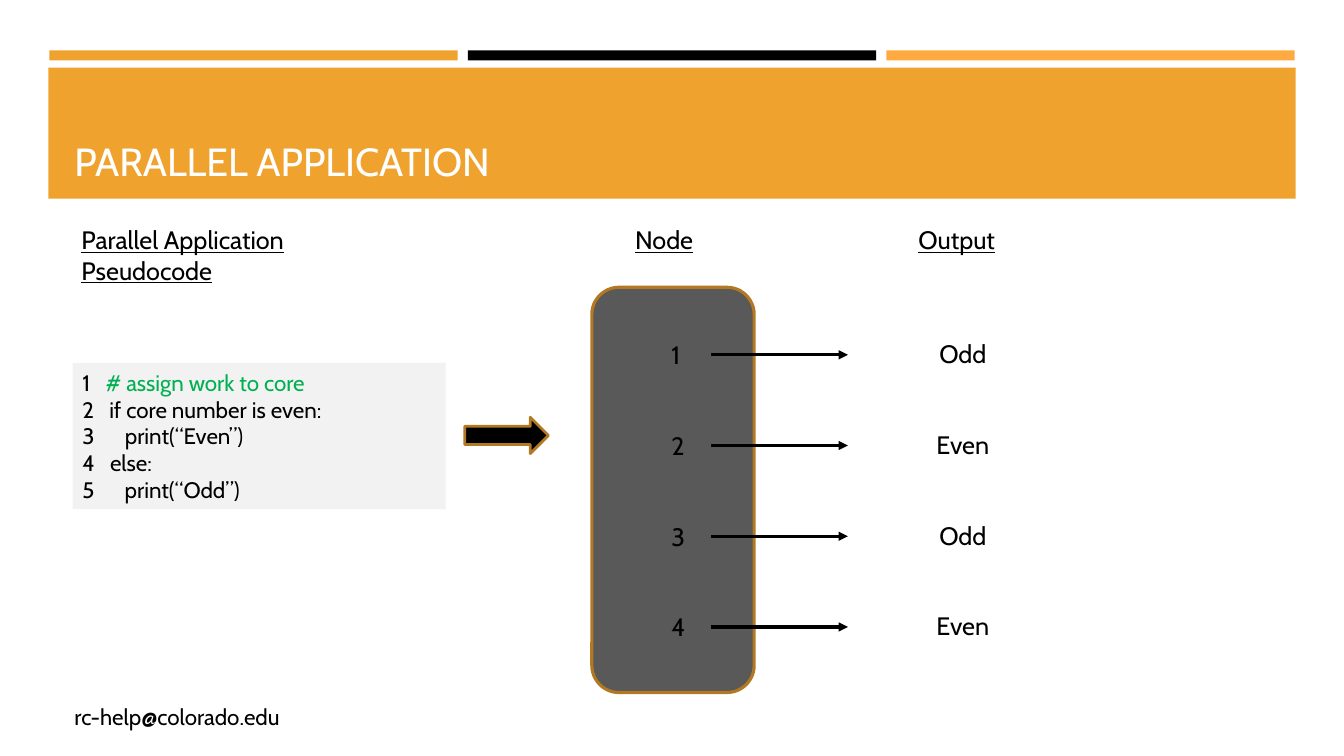
from lxml import etree
from pptx import Presentation
from pptx.dml.color import RGBColor
from pptx.enum.shapes import MSO_CONNECTOR, MSO_SHAPE
from pptx.enum.text import MSO_ANCHOR, PP_ALIGN
from pptx.oxml.ns import qn
from pptx.util import Inches, Pt

RECT = MSO_SHAPE.RECTANGLE
ROUND = MSO_SHAPE.ROUNDED_RECTANGLE
ARROW = MSO_SHAPE.RIGHT_ARROW
STRAIGHT = MSO_CONNECTOR.STRAIGHT
LEFT, CENTER = PP_ALIGN.LEFT, PP_ALIGN.CENTER
TOP, MIDDLE, BOTTOM = MSO_ANCHOR.TOP, MSO_ANCHOR.MIDDLE, MSO_ANCHOR.BOTTOM

FONT = "Cabin"
BLACK, WHITE = "000000", "FFFFFF"
ORANGE, LIGHT, BROWN = "F0A22E", "FFA941", "B27822"
DARK, PALE, GREEN = "595959", "F2F2F2", "00B050"

BARS = [ORANGE, BLACK, LIGHT]
HEADS = [
    ("Parallel Application Pseudocode", 0.71, 3.52),
    ("Node", 6.2, 0.84),
    ("Output", 9.01, 1.08),
]
CODE = [
    "1   # assign work to core",
    "2   if core number is even:",
    "3      print(“Even”)",
    "4   else:",
    "5      print(“Odd”)",
]
OUTPUT = ["Odd", "Even", "Odd", "Even"]
ROW_TOP, ROW_STEP = 3.52, 0.9


def color(code):
    return RGBColor.from_string(code)


def style(font, size, code):
    font.name = FONT
    font.size = Pt(size)
    font.color.rgb = color(code)


def add_block(slide, kind, box, fill, line=None, width=2.25):
    shape = slide.shapes.add_shape(kind, *map(Inches, box))
    shape.shadow.inherit = False
    shape.fill.solid()
    shape.fill.fore_color.rgb = color(fill)
    if line:
        shape.line.color.rgb = color(line)
        shape.line.width = Pt(width)
    else:
        shape.line.fill.background()
    return shape


def add_text(slide, text, box, size=18, code=BLACK, align=LEFT, anchor=TOP, under=False):
    frame = slide.shapes.add_textbox(*map(Inches, box)).text_frame
    frame.word_wrap = True
    frame.vertical_anchor = anchor
    frame.text = text
    para = frame.paragraphs[0]
    para.alignment = align
    font = para.runs[0].font
    style(font, size, code)
    if under:
        font.underline = True


def add_arrow(slide, start, end, y):
    line = slide.shapes.add_connector(
        STRAIGHT, Inches(start), Inches(y), Inches(end), Inches(y))
    line.line.color.rgb = color(BLACK)
    line.line.width = Pt(2.25)
    props = line.line._get_or_add_ln()
    etree.SubElement(props, qn("a:tailEnd"), type="triangle")
    etree.SubElement(line._element.spPr, qn("a:effectLst"))


def add_code(slide, lines, box):
    """Draw a code panel with each comment in green."""
    frame = add_block(slide, RECT, box, PALE).text_frame
    frame.word_wrap = True
    frame.vertical_anchor = MIDDLE
    for i, text in enumerate(lines):
        para = frame.add_paragraph() if i else frame.paragraphs[0]
        para.alignment = LEFT
        code, mark, note = text.partition("#")
        for part, tint in ((code, BLACK), (mark + note, GREEN)):
            if part:
                run = para.add_run()
                run.text = part
                style(run.font, 16, tint)


def main():
    deck = Presentation()
    deck.slide_width, deck.slide_height = Inches(13.33), Inches(7.5)
    slide = deck.slides.add_slide(deck.slide_layouts[6])

    for i, fill in enumerate(BARS):
        add_block(slide, RECT, (0.49 + 4.15 * i, 0.5, 4.05, 0.1), fill)
    add_block(slide, RECT, (0.48, 0.67, 12.37, 1.3), ORANGE)
    add_text(slide, "PARALLEL APPLICATION", (0.64, 0.77, 12.06, 1.11),
             28, WHITE, anchor=BOTTOM)

    for text, left, width in HEADS:
        add_text(slide, text, (left, 2.18, width, 0.4), under=True)

    add_code(slide, CODE, (0.72, 3.6, 3.7, 1.45))
    add_block(slide, ARROW, (4.61, 4.14, 0.83, 0.36), BLACK, BROWN, 2)
    add_block(slide, ROUND, (5.87, 2.85, 1.61, 4.02), DARK, BROWN)

    for i, word in enumerate(OUTPUT):
        y = ROW_TOP + ROW_STEP * i
        add_arrow(slide, 7.05, 8.41, y)
        add_text(slide, str(i + 1), (6.56, y - 0.2, 0.26, 0.4), align=CENTER)
        add_text(slide, word, (9.01, y - 0.21, 1.08, 0.4), align=CENTER)

    add_text(slide, "rc-help@colorado.edu", (0.64, 6.91, 7.56, 0.4), 16, anchor=MIDDLE)
    deck.save("out.pptx")


if __name__ == "__main__":
    main()
